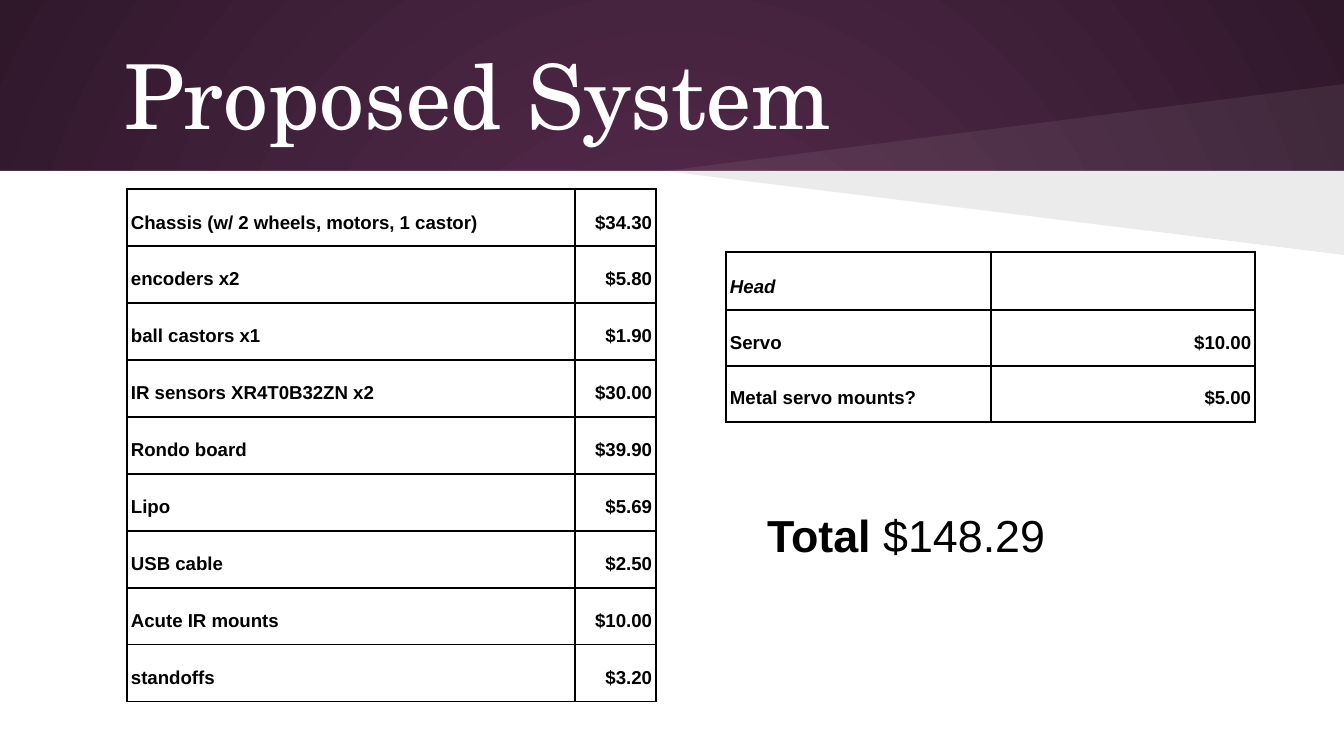
import pptx
import pptx.util
import pptx.dml.color
import pptx.enum.shapes
import pptx.enum.text
import lxml.etree
import pptx.oxml.ns

RGB = pptx.dml.color.RGBColor
PLUM = RGB(0x59, 0x2D, 0x50)
DARK = RGB(0x30, 0x18, 0x2B)
WHITE = RGB(0xFF, 0xFF, 0xFF)
BLACK = RGB(0, 0, 0)

PX = 914400 / 134.4  # EMU in one pixel
WIDE, HIGH = 1344, 756
BAND = 171  # height of the title band
PAD, GAP = 4, 13  # cell margins
ANCHOR = pptx.enum.text.MSO_ANCHOR
ALIGN = pptx.enum.text.PP_ALIGN
qn = pptx.oxml.ns.qn


def emu(*sizes):
    return [pptx.util.Emu(round(size * PX)) for size in sizes]


def add(node, tag, **attrs):
    """Append an XML child to node."""
    return lxml.etree.SubElement(node, qn(tag), attrs)


deck = pptx.Presentation()
deck.slide_width, deck.slide_height = emu(WIDE, HIGH)
slide = deck.slides.add_slide(deck.slide_layouts[5])
shapes = slide.shapes

# Background: a round gradient from the centre
fill = slide.background.fill
fill.gradient()
for stop, color in zip(fill.gradient_stops, (PLUM, DARK)):
    stop.color.rgb = color
grad = slide.background._cSld.find(".//" + qn("a:gradFill"))
grad.remove(grad.find(qn("a:lin")))
focus = add(grad, "a:path", path="circle")
add(focus, "a:fillToRect", l="50000", t="50000", r="50000", b="50000")

# White page below the title band
page = shapes.add_shape(pptx.enum.shapes.MSO_SHAPE.RECTANGLE,
                        *emu(0, BAND, WIDE, HIGH - BAND))
page.shadow.inherit = False
page.fill.solid()
page.fill.fore_color.rgb = WHITE
page.line.fill.background()

# Light and dark beams that meet on the edge of the band
for end, color, alpha in ((84, WHITE, "7000"), (255, BLACK, "8000")):
    pen = shapes.build_freeform(665, BAND, scale=PX)
    pen.add_line_segments([(WIDE, end), (WIDE, BAND)], close=True)
    beam = pen.convert_to_shape()
    beam.shadow.inherit = False
    beam.fill.solid()
    beam.fill.fore_color.rgb = color
    add(beam._element.spPr.find(".//" + qn("a:srgbClr")), "a:alpha", val=alpha)
    beam.line.fill.background()

# Title, brought in front of the page
title = shapes.title
shapes._spTree.append(title._element)
title.left, title.top, title.width, title.height = emu(67, 31, 1210, 126)
total = shapes.add_textbox(*emu(726, 487, 560, 110))

for box, anchor, left, indent in ((title, ANCHOR.MIDDLE, 0, 44),
                                  (total, ANCHOR.TOP, 51, -23)):
    frame = box.text_frame
    frame.word_wrap = True
    frame.auto_size = pptx.enum.text.MSO_AUTO_SIZE.NONE
    frame.vertical_anchor = anchor
    (frame.margin_left, frame.margin_right,
     frame.margin_top, frame.margin_bottom) = emu(GAP, GAP, GAP, GAP)
    para = frame.paragraphs[0]
    para.alignment = ALIGN.LEFT
    props = para._p.get_or_add_pPr()
    props.set("marL", str(emu(left)[0]))
    props.set("indent", str(emu(indent)[0]))

title.text_frame.paragraphs[0].text = "Proposed System"
font = title.text_frame.paragraphs[0].runs[0].font
font.name, font.size = "TeX Gyre Schola", pptx.util.Pt(48)
font.color.rgb = WHITE

para = total.text_frame.paragraphs[0]
para.line_spacing = 1.15
for text, bold in (("Total ", True), ("$148.29", False)):
    run = para.add_run()
    run.text = text
    run.font.name, run.font.size = "Arial", pptx.util.Pt(24)
    run.font.bold = bold
    run.font.color.rgb = BLACK

# Price tables: left, top, column widths, row heights, rows
parts = [
    ("Chassis (w/ 2 wheels, motors, 1 castor)", "$34.30"),
    ("encoders x2", "$5.80"),
    ("ball castors x1", "$1.90"),
    ("IR sensors XR4T0B32ZN x2", "$30.00"),
    ("Rondo board", "$39.90"),
    ("Lipo", "$5.69"),
    ("USB cable", "$2.50"),
    ("Acute IR mounts", "$10.00"),
    ("standoffs", "$3.20"),
]
head = [("Head", ""), ("Servo", "$10.00"), ("Metal servo mounts?", "$5.00")]
tables = (
    (127, 189, (448, 81), [57] * len(parts), parts),
    (726, 252, (265, 264), [58, 56, 56], head),
)
for left, top, cols, highs, rows in tables:
    table = shapes.add_table(len(rows), len(cols),
                             *emu(left, top, sum(cols), sum(highs))).table
    table.first_row = table.horz_banding = False
    for col, size in zip(table.columns, emu(*cols)):
        col.width = size
    for row, size in zip(table.rows, emu(*highs)):
        row.height = size
    for r, texts in enumerate(rows):
        for c, text in enumerate(texts):
            cell = table.cell(r, c)
            cell.margin_left, cell.margin_right = emu(PAD, PAD)
            cell.margin_top, cell.margin_bottom = emu(GAP, GAP)
            cell.vertical_anchor = ANCHOR.BOTTOM
            para = cell.text_frame.paragraphs[0]
            para.text = text
            para.alignment = ALIGN.RIGHT if c else ALIGN.LEFT
            para.line_spacing = 1.15
            for run in para.runs:
                run.font.name, run.font.size = "Arial", pptx.util.Pt(10)
                run.font.bold = True
                run.font.italic = text == "Head"
                run.font.color.rgb = BLACK
            if not text:
                add(para._p, "a:endParaRPr", sz="1000")
            props = cell._tc.get_or_add_tcPr()
            for side in ("a:lnL", "a:lnR", "a:lnT", "a:lnB"):
                line = add(props, side, w=str(pptx.util.Pt(0.75)))
                add(add(line, "a:solidFill"), "a:srgbClr", val=str(BLACK))
            cell.fill.background()

deck.save("out.pptx")
